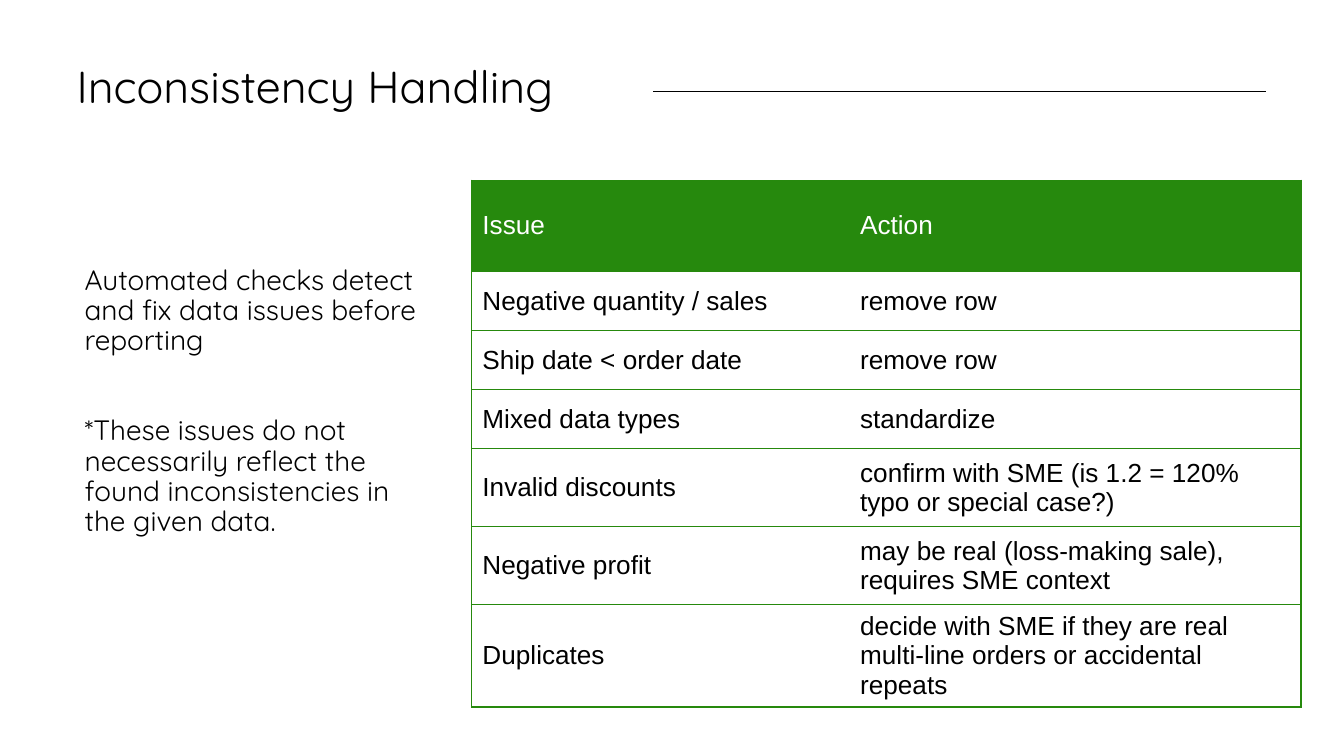
from lxml.etree import SubElement
from pptx import Presentation
from pptx.dml.color import RGBColor
from pptx.enum.shapes import MSO_CONNECTOR as Connector
from pptx.enum.text import MSO_ANCHOR as Anchor
from pptx.oxml.ns import qn
from pptx.util import Inches, Pt


def color(hex_code):
    return RGBColor.from_string(hex_code)


class SlideBuilder:
    heading_font = "Quicksand"
    table_font = "Arial"
    ink = "000000"
    paper = "FFFFFF"
    green = "26890D"
    line_width = Pt(0.75)

    def __init__(self, slide):
        self.slide = slide

    def add_run(self, paragraph, text, font, size, hex_code):
        run = paragraph.add_run()
        run.text = text
        run.font.name = font
        run.font.size = Pt(size)
        run.font.bold = False
        run.font.color.rgb = color(hex_code)

    def add_text(self, box, paragraphs, size, left_inset=0.0):
        """Each paragraph is a pair: space before in points, and text."""
        frame = self.slide.shapes.add_textbox(*map(Inches, box)).text_frame
        frame.word_wrap = True
        frame.vertical_anchor = Anchor.TOP
        frame.margin_left, frame.margin_right = Inches(left_inset), Inches(0.07)
        frame.margin_top = frame.margin_bottom = Inches(0.04)
        for index, (space, text) in enumerate(paragraphs):
            paragraph = frame.add_paragraph() if index else frame.paragraphs[0]
            paragraph.line_spacing = 0.9
            paragraph.space_before = Pt(space)
            self.add_run(paragraph, text, self.heading_font, size, self.ink)

    def add_line(self, *ends):
        line = self.slide.shapes.add_connector(Connector.STRAIGHT, *map(Inches, ends))
        line.line.color.rgb = color(self.ink)
        line.line.width = self.line_width
        SubElement(line._element.spPr, qn("a:effectLst"))

    def set_borders(self, cell, visible_sides):
        properties = cell._tc.get_or_add_tcPr()
        for side in "LRTB":
            border = SubElement(properties, qn(f"a:ln{side}"), w=str(self.line_width))
            if side in visible_sides:
                fill = SubElement(border, qn("a:solidFill"))
                SubElement(fill, qn("a:srgbClr"), val=self.green)
            else:
                SubElement(border, qn("a:noFill"))

    def fill_cell(self, cell, text, is_header, sides):
        cell.vertical_anchor = Anchor.MIDDLE
        cell.margin_left = cell.margin_right = Inches(0.08)
        cell.margin_top = cell.margin_bottom = Inches(0.03)
        self.set_borders(cell, sides)
        if is_header:
            cell.fill.solid()
            cell.fill.fore_color.rgb = color(self.green)
        else:
            cell.fill.background()
        self.add_run(cell.text_frame.paragraphs[0], text, self.table_font, 14,
                     self.paper if is_header else self.ink)

    def add_table(self, left, top, widths, heights, rows):
        size = (left, top, sum(widths), sum(heights))
        table = self.slide.shapes.add_table(
            len(rows), len(widths), *map(Inches, size)).table
        table.first_row = table.horz_banding = False
        for column, width in zip(table.columns, widths):
            column.width = Inches(width)
        for row, height in zip(table.rows, heights):
            row.height = Inches(height)
        for row_index, texts in enumerate(rows):
            for column_index, text in enumerate(texts):
                # Outer frame and row rules, no rule between the columns
                sides = ("L" if column_index == 0 else "R") + "TB"
                self.fill_cell(table.cell(row_index, column_index), text,
                               row_index == 0, sides)


def main():
    # Widescreen page, 16 by 9
    presentation = Presentation()
    presentation.slide_width = Inches(10)
    presentation.slide_height = presentation.slide_width * 9 // 16
    slide = presentation.slides.add_slide(presentation.slide_layouts[6])
    builder = SlideBuilder(slide)

    # Title and rule
    builder.add_line(4.86, 0.68, 9.42, 0.68)
    builder.add_text((0.57, 0.44, 4.09, 1.48), [(0, "Inconsistency Handling")], 24)

    # Explanation
    builder.add_text((0.56, 1.94, 2.69, 2.94), [
        (8, "Automated checks detect and fix data issues before reporting"),
        (32, "*These issues do not necessarily reflect the found "
             "inconsistencies in the given data."),
    ], 15, left_inset=0.07)

    # Issues and actions
    builder.add_table(
        3.51, 1.34, [2.81, 3.36], [0.68] + [0.44] * 3 + [0.58] * 2 + [0.75], [
            ("Issue", "Action"),
            ("Negative quantity / sales", "remove row"),
            ("Ship date < order date", "remove row"),
            ("Mixed data types", "standardize"),
            ("Invalid discounts",
             "confirm with SME (is 1.2 = 120% typo or special case?)"),
            ("Negative profit",
             "may be real (loss-making sale), requires SME context"),
            ("Duplicates", "decide with SME if they are real multi-line orders "
                           "or accidental repeats"),
        ])

    presentation.save("out.pptx")


if __name__ == "__main__":
    main()
